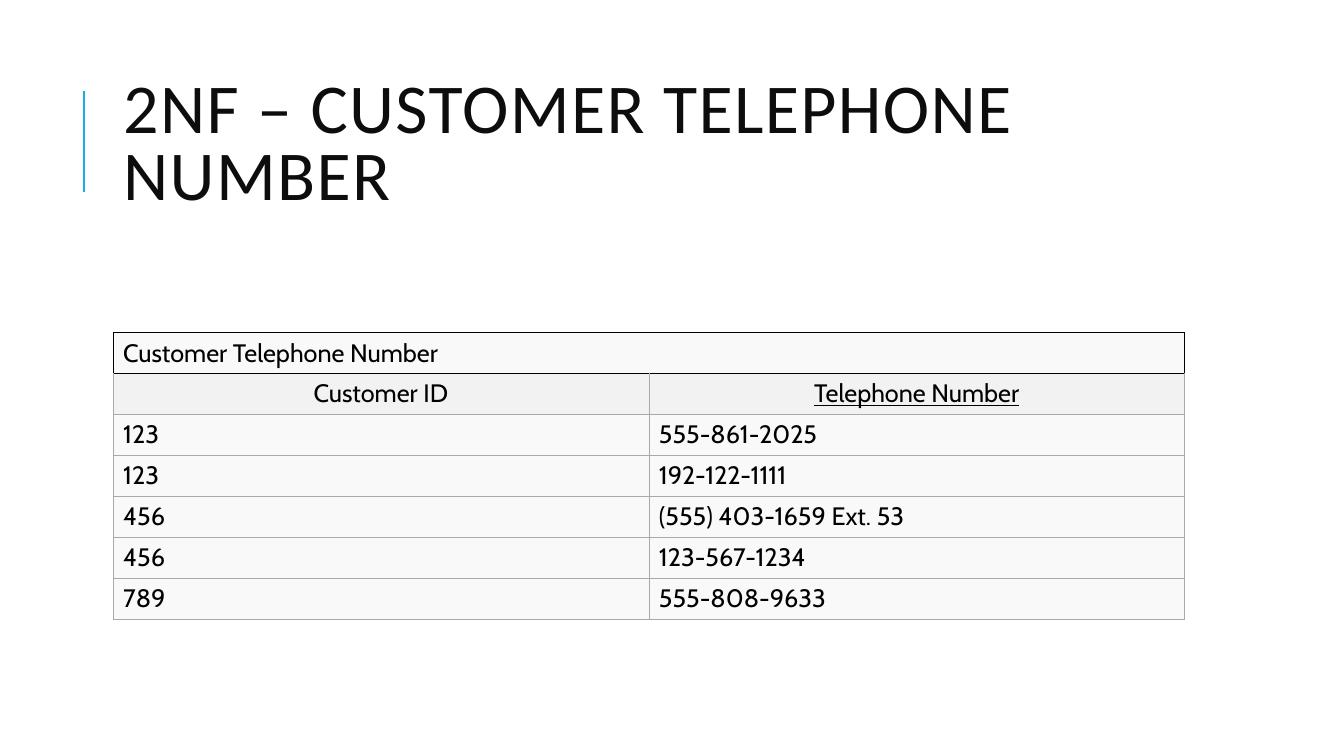
from dataclasses import dataclass

from lxml import etree
from pptx import Presentation
from pptx.dml.color import RGBColor
from pptx.enum import shapes, text
from pptx.oxml import ns
from pptx.util import Pt


@dataclass(frozen=True)
class Theme:
    title_font: str = "Calibri"
    table_font: str = "Cabin"
    title_size: float = 50
    table_size: float = 18
    accent_width: float = 1.5
    border_width: float = 0.38
    title_ink: str = "0D0D0D"
    table_ink: str = "000000"
    accent: str = "1CADE4"
    banner_border: str = "000000"
    grid_border: str = "AAAAAA"
    header_fill: str = "F2F2F2"
    body_fill: str = "F9F9F9"


THEME = Theme()
LEFT, WIDTH = 80.8, 765.4
ROW_HEIGHT = 28.8
BANNER = "Customer Telephone Number"
HEADERS = ("Customer ID", "Telephone Number")
KEY_COLUMN = "Telephone Number"
CUSTOMER_PHONES = (
    ("123", "555-861-2025"),
    ("123", "192-122-1111"),
    ("456", "(555) 403-1659 Ext. 53"),
    ("456", "123-567-1234"),
    ("789", "555-808-9633"),
)


def add_run(paragraph, wording, font, size, ink):
    run = paragraph.add_run()
    run.text = wording
    run.font.name = font
    run.font.size = Pt(size)
    run.font.color.rgb = RGBColor.from_string(ink)
    return run


def set_title(slide, wording):
    title = slide.shapes.title
    title.left, title.top = Pt(LEFT), Pt(46)
    title.width, title.height = Pt(WIDTH), Pt(118)
    frame = title.text_frame
    frame.word_wrap = True
    frame.auto_size = text.MSO_AUTO_SIZE.NONE
    frame.vertical_anchor = text.MSO_ANCHOR.MIDDLE
    paragraph = frame.paragraphs[0]
    paragraph.alignment = text.PP_ALIGN.LEFT
    paragraph.line_spacing = 0.8
    run = add_run(paragraph, wording, THEME.title_font, THEME.title_size, THEME.title_ink)
    run.font._element.set("spc", "100")


def add_accent_line(slide):
    accent = slide.shapes.add_connector(
        shapes.MSO_CONNECTOR.STRAIGHT, Pt(60), Pt(136.8), Pt(60), Pt(64.8)
    )
    accent.line.color.rgb = RGBColor.from_string(THEME.accent)
    accent.line.width = Pt(THEME.accent_width)
    etree.SubElement(accent._element.spPr, ns.qn("a:effectLst"))


def set_borders(cell, top, other):
    properties = cell._tc.get_or_add_tcPr()
    for side, colour in (("L", other), ("R", other), ("T", top), ("B", other)):
        border = etree.SubElement(
            properties, ns.qn(f"a:ln{side}"), w=str(Pt(THEME.border_width))
        )
        fill = etree.SubElement(border, ns.qn("a:solidFill"))
        etree.SubElement(fill, ns.qn("a:srgbClr"), val=colour)


def style_cell(cell, fill, top, other):
    set_borders(cell, top, other)
    cell.fill.solid()
    cell.fill.fore_color.rgb = RGBColor.from_string(fill)
    cell.vertical_anchor = text.MSO_ANCHOR.MIDDLE


def write_cell(cell, wording, alignment=text.PP_ALIGN.LEFT):
    paragraph = cell.text_frame.paragraphs[0]
    paragraph.alignment = alignment
    return add_run(paragraph, wording, THEME.table_font, THEME.table_size, THEME.table_ink)


def add_phone_table(slide):
    row_count = len(CUSTOMER_PHONES) + 2
    phones = slide.shapes.add_table(
        row_count, len(HEADERS), Pt(LEFT), Pt(237.6), Pt(WIDTH), Pt(ROW_HEIGHT * row_count)
    ).table
    phones.first_row = phones.horz_banding = False

    for column, header in enumerate(HEADERS):
        style_cell(phones.cell(0, column), THEME.body_fill, THEME.banner_border, THEME.banner_border)
        header_cell = phones.cell(1, column)
        style_cell(header_cell, THEME.header_fill, THEME.banner_border, THEME.grid_border)
        run = write_cell(header_cell, header, text.PP_ALIGN.CENTER)
        if header == KEY_COLUMN:
            run.font.underline = True

    phones.cell(0, 0).merge(phones.cell(0, len(HEADERS) - 1))
    write_cell(phones.cell(0, 0), BANNER)

    for row, record in enumerate(CUSTOMER_PHONES, start=2):
        for column, value in enumerate(record):
            cell = phones.cell(row, column)
            style_cell(cell, THEME.body_fill, THEME.grid_border, THEME.grid_border)
            write_cell(cell, value)


def main():
    presentation = Presentation()
    presentation.slide_width, presentation.slide_height = Pt(960), Pt(540)
    slide = presentation.slides.add_slide(presentation.slide_layouts.get_by_name("Title Only"))
    add_accent_line(slide)
    set_title(slide, "2NF – CUSTOMER TELEPHONE NUMBER")
    add_phone_table(slide)
    presentation.save("out.pptx")


if __name__ == "__main__":
    main()
